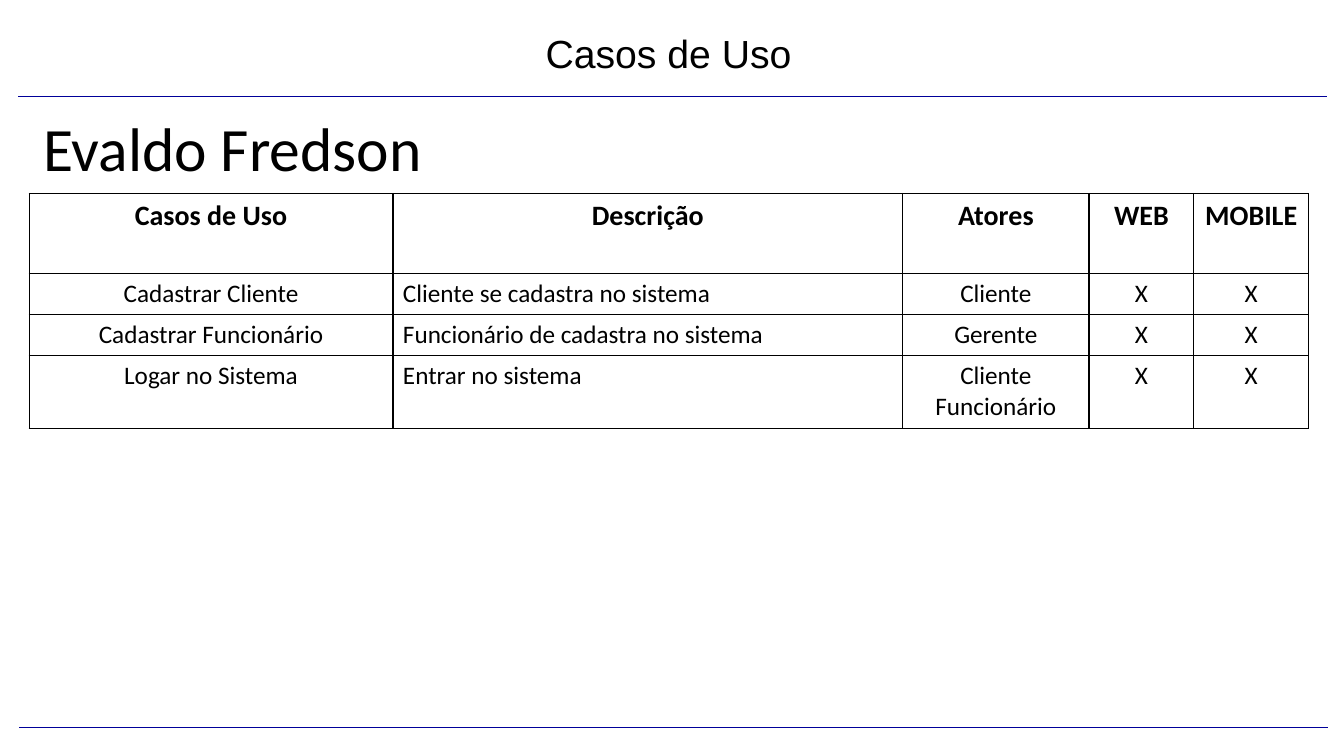
from lxml import etree
from pptx import Presentation, util as u
from pptx.dml.color import RGBColor
from pptx.enum import shapes, text
from pptx.oxml.ns import qn

WIDTH, HEIGHT = 13.34, 7.5
BLACK, NAVY = "000000", "000099"
COLUMNS = [3.61, 5.06, 1.85, 1.04, 1.14]
ROWS = [0.79, 0.41, 0.41, 0.72]
DESCRIPTION = 1
USE_CASES = [
    ["Casos de Uso", "Descrição", "Atores", "WEB", "MOBILE"],
    ["Cadastrar Cliente", "Cliente se cadastra no sistema", "Cliente", "X", "X"],
    ["Cadastrar Funcionário", "Funcionário de cadastra no sistema", "Gerente", "X", "X"],
    ["Logar no Sistema", "Entrar no sistema", "Cliente\nFuncionário", "X", "X"],
]


def color(hex_code):
    return RGBColor.from_string(hex_code)


def write(frame, content, size, font="Calibri", bold=False, centered=False):
    """Fill a text frame with one paragraph per line of content."""
    for index, line in enumerate(content.split("\n")):
        paragraph = frame.add_paragraph() if index else frame.paragraphs[0]
        paragraph.alignment = text.PP_ALIGN.CENTER if centered else text.PP_ALIGN.LEFT
        paragraph.space_before = u.Pt(0)
        run = paragraph.add_run()
        run.text = line
        run.font.name, run.font.size, run.font.bold = font, u.Pt(size), bold
        run.font.color.rgb = color(BLACK)


def setup_frame(frame, anchor):
    frame.word_wrap = True
    frame.auto_size = text.MSO_AUTO_SIZE.NONE
    frame.vertical_anchor = anchor
    frame.margin_left = frame.margin_right = u.Inches(0.1)
    frame.margin_top = frame.margin_bottom = u.Inches(0.05)


def add_title(slide, content):
    title = slide.shapes.title
    title.left, title.top = u.Inches(1.95), u.Inches(0.24)
    title.width, title.height = u.Inches(9.37), u.Inches(0.56)
    setup_frame(title.text_frame, text.MSO_ANCHOR.TOP)
    write(title.text_frame, content, 28, font="Arial", centered=True)


def add_authors(slide, content):
    authors = slide.shapes.add_textbox(
        u.Inches(0.33), u.Inches(1.17), u.Inches(10.5), u.Inches(0.58))
    setup_frame(authors.text_frame, text.MSO_ANCHOR.MIDDLE)
    write(authors.text_frame, content, 44)


def add_rule(slide, left, top):
    rule = slide.shapes.add_connector(
        shapes.MSO_CONNECTOR.STRAIGHT, u.Inches(left), u.Inches(top),
        u.Inches(left + 12.99), u.Inches(top))
    rule.line.color.rgb = color(NAVY)
    rule.line.width = u.Pt(0.75)
    etree.SubElement(rule._element.spPr, qn("a:effectLst"))


def add_borders(cell):
    properties = cell._tc.get_or_add_tcPr()
    for position, side in enumerate(("a:lnL", "a:lnR", "a:lnT", "a:lnB")):
        border = etree.Element(qn(side), w=str(u.Pt(1)))
        fill = etree.SubElement(border, qn("a:solidFill"))
        etree.SubElement(fill, qn("a:srgbClr"), val=BLACK)
        properties.insert(position, border)


def add_use_cases(slide):
    table = slide.shapes.add_table(
        len(ROWS), len(COLUMNS), u.Inches(0.29), u.Inches(1.92),
        u.Inches(sum(COLUMNS)), u.Inches(sum(ROWS))).table
    table.horz_banding = False
    for column, width in zip(table.columns, COLUMNS):
        column.width = u.Inches(width)
    for r, (row, height) in enumerate(zip(table.rows, ROWS)):
        row.height = u.Inches(height)
        for c, content in enumerate(USE_CASES[r]):
            header = r == 0
            cell = table.cell(r, c)
            cell.fill.background()
            add_borders(cell)
            write(cell.text_frame, content, 20 if header else 18, bold=header,
                  centered=header or c != DESCRIPTION)


def main():
    deck = Presentation()
    deck.slide_width, deck.slide_height = u.Inches(WIDTH), u.Inches(HEIGHT)
    slide = deck.slides.add_slide(deck.slide_layouts[5])
    add_rule(slide, 0.18, 0.96)
    add_rule(slide, 0.19, 7.22)
    add_title(slide, "Casos de Uso")
    add_use_cases(slide)
    add_authors(slide, "Evaldo Fredson")
    deck.save("out.pptx")


if __name__ == "__main__":
    main()
